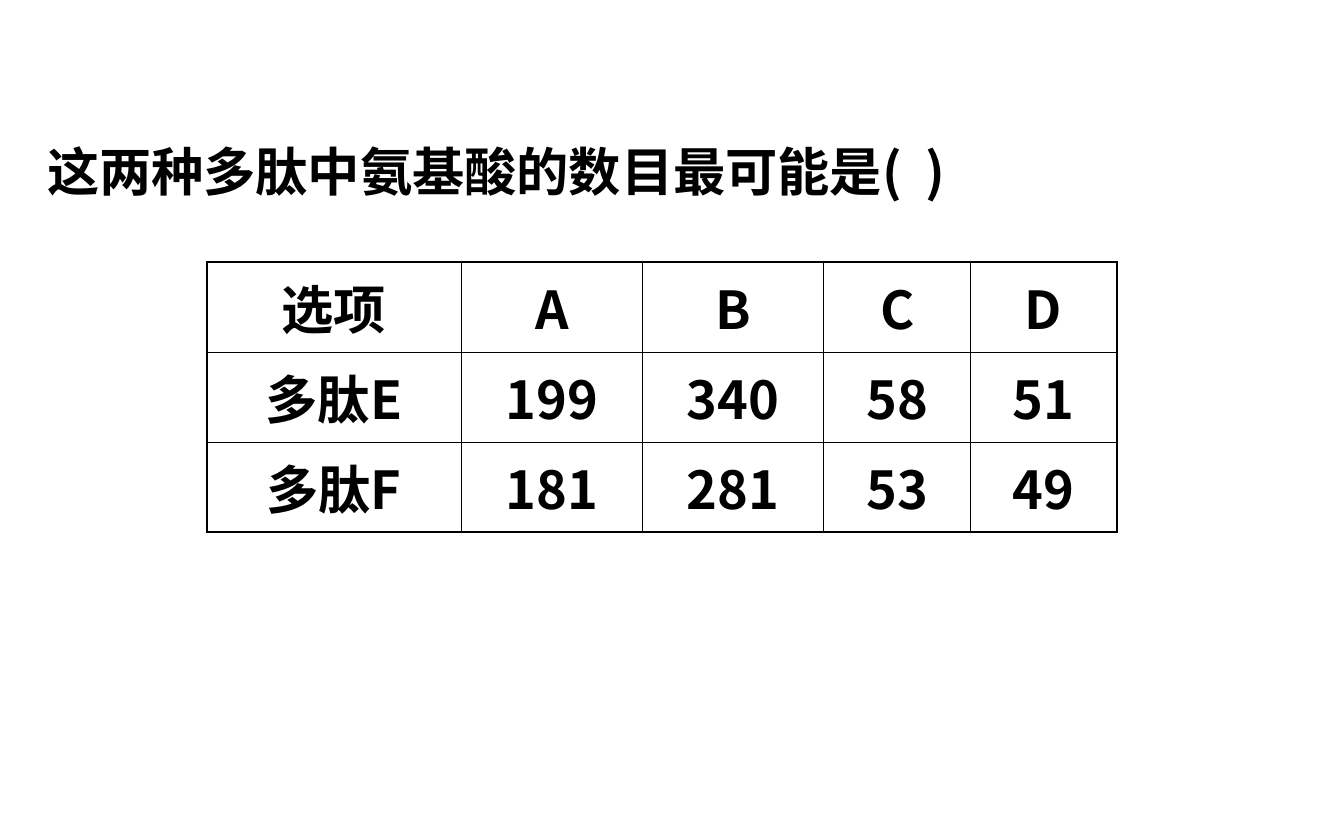
from dataclasses import dataclass

from pptx import Presentation
from pptx.dml.color import RGBColor
from pptx.enum import text
from pptx.oxml.ns import qn
from pptx.util import Inches, Pt
from lxml import etree


@dataclass(frozen=True)
class Theme:
    font: str = "Noto Sans CJK SC"
    size: float = 28
    ink: str = "000000"
    paper: str = "FFFFFF"
    outer: float = 0.96
    inner: float = 0.45


THEME = Theme()
QUESTION = "这两种多肽中氨基酸的数目最可能是(  )"
ROWS = [
    ["选项", "A", "B", "C", "D"],
    ["多肽E", "199", "340", "58", "51"],
    ["多肽F", "181", "281", "53", "49"],
]
COL_WIDTHS = [1.89, 1.35, 1.35, 1.09, 1.09]
ROW_HEIGHT = 0.67


def write(tf, content, align):
    tf.text = content
    p = tf.paragraphs[0]
    p.alignment = align
    for r in p.runs:
        r.font.name = THEME.font
        r.font.size = Pt(THEME.size)
        r.font.bold = True
        r.font.color.rgb = RGBColor.from_string(THEME.ink)
        ea = etree.SubElement(r.font._element, qn("a:ea"))
        ea.set("typeface", THEME.font)
    return p


def add_question(s):
    sp = s.shapes.title
    sp.left, sp.top = Inches(0.25), Inches(0.75)
    sp.width, sp.height = Inches(9.43), Inches(0.8)
    tf = sp.text_frame
    tf.word_wrap = True
    tf.auto_size = text.MSO_AUTO_SIZE.SHAPE_TO_FIT_TEXT
    tf.vertical_anchor = text.MSO_ANCHOR.TOP
    p = write(tf, QUESTION, text.PP_ALIGN.LEFT)
    p.line_spacing = 1.5


def set_borders(cell, widths):
    tc_pr = cell._tc.get_or_add_tcPr()
    for i, (side, width) in enumerate(widths.items()):
        ln = etree.Element(qn(f"a:ln{side}"), w=str(Pt(width)))
        fill = etree.SubElement(ln, qn("a:solidFill"))
        etree.SubElement(fill, qn("a:srgbClr"), val=THEME.ink)
        tc_pr.insert(i, ln)


def add_options(s):
    n_rows, n_cols = len(ROWS), len(COL_WIDTHS)
    frame = s.shapes.add_table(
        n_rows, n_cols, Inches(1.54), Inches(1.95),
        Inches(sum(COL_WIDTHS)), Inches(ROW_HEIGHT * n_rows))
    table = frame.table
    for col, width in zip(table.columns, COL_WIDTHS):
        col.width = Inches(width)
    for i, values in enumerate(ROWS):
        table.rows[i].height = Inches(ROW_HEIGHT)
        for j, value in enumerate(values):
            cell = table.cell(i, j)
            cell.fill.solid()
            cell.fill.fore_color.rgb = RGBColor.from_string(THEME.paper)
            cell.vertical_anchor = text.MSO_ANCHOR.MIDDLE
            write(cell.text_frame, value, text.PP_ALIGN.CENTER)
            edges = {"L": j == 0, "R": j == n_cols - 1,
                     "T": i == 0, "B": i == n_rows - 1}
            set_borders(cell, {side: THEME.outer if edge else THEME.inner
                               for side, edge in edges.items()})


def main():
    prs = Presentation()
    prs.slide_width, prs.slide_height = Inches(10), Inches(6.25)
    s = prs.slides.add_slide(prs.slide_layouts.get_by_name("Title Only"))
    add_question(s)
    add_options(s)
    prs.save("out.pptx")


if __name__ == "__main__":
    main()
